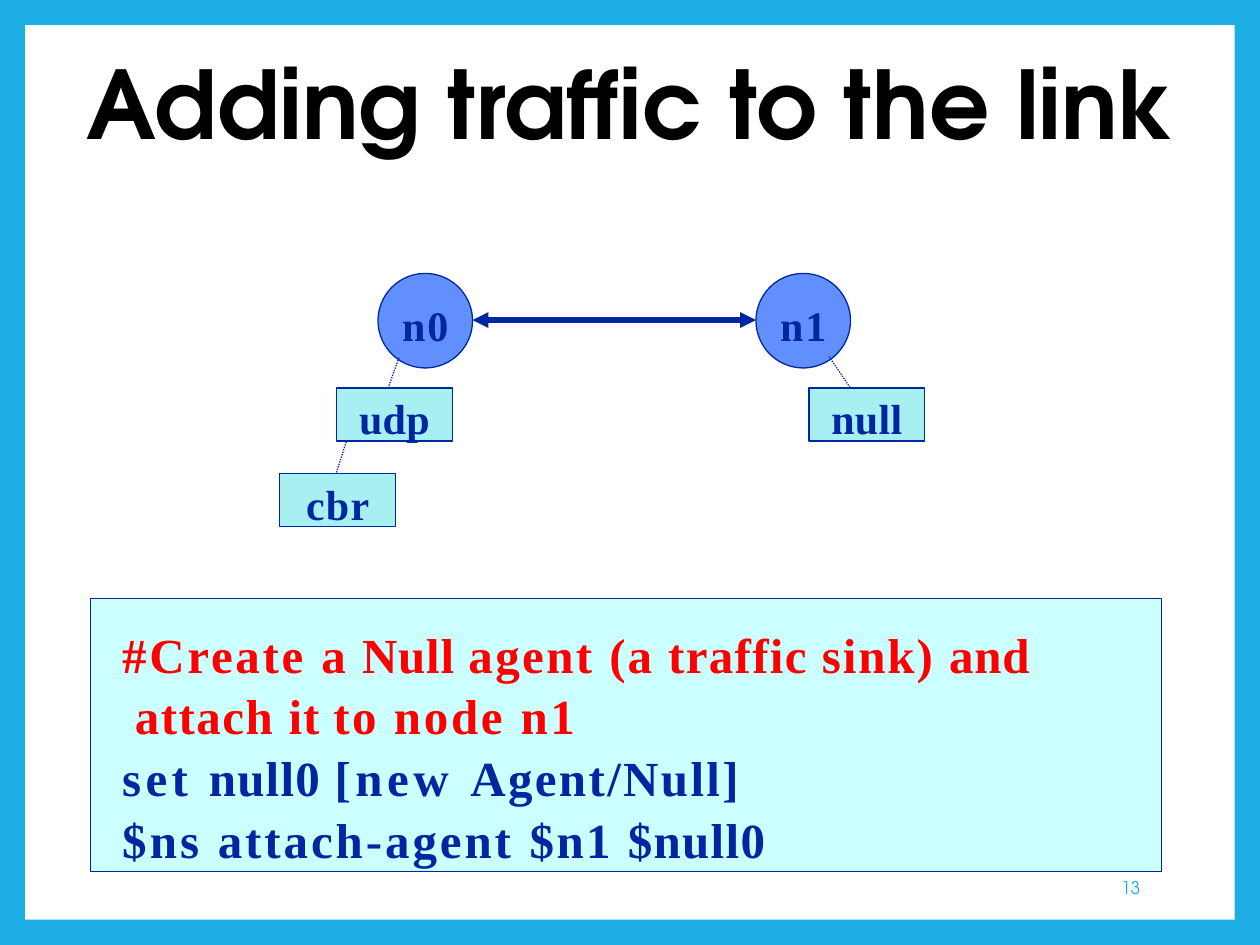
from lxml import etree
from pptx import Presentation
from pptx.dml.color import RGBColor
from pptx.enum.dml import MSO_LINE
from pptx.enum.shapes import MSO_CONNECTOR, MSO_SHAPE
from pptx.enum.text import MSO_ANCHOR, PP_ALIGN
from pptx.oxml.ns import qn
from pptx.util import Inches, Pt

RECT, OVAL = MSO_SHAPE.RECTANGLE, MSO_SHAPE.OVAL
LEFT, MID, RIGHT = PP_ALIGN.LEFT, PP_ALIGN.CENTER, PP_ALIGN.RIGHT
TOP, HALF = MSO_ANCHOR.TOP, MSO_ANCHOR.MIDDLE
SERIF, SANS = "Times New Roman", "TeX Gyre Adventor"
HEX = {"sky": "1CADE4", "white": "FFFFFF", "black": "000000", "navy": "00279F",
       "node": "618FFD", "agent": "A7EFF1", "code": "CCFFFF", "red": "FF0000"}
RGB = {name: RGBColor.from_string(code) for name, code in HEX.items()}

deck = Presentation()
deck.slide_width, deck.slide_height = Inches(10), Inches(7.5)
slide = deck.slides.add_slide(deck.slide_layouts[6])
slide.background.fill.solid()
slide.background.fill.fore_color.rgb = RGB["sky"]


def add_box(kind, x, y, w, h, fill, line=None):
    box = slide.shapes.add_shape(kind, Inches(x), Inches(y), Inches(w), Inches(h))
    box.shadow.inherit = False
    box.fill.solid()
    box.fill.fore_color.rgb = RGB[fill]
    if line:
        box.line.color.rgb = RGB[line]
        box.line.width = Pt(0.75)
    else:
        box.line.fill.background()
    return box


def write(box, text, size=24, color="navy", font=SERIF, bold=True, align=MID,
          anchor=TOP, lead=1.0, inset=0, indent=0, track=0):
    """Add one paragraph; text is a string or a list of (string, tracking) runs."""
    frame = box.text_frame
    frame.word_wrap = True
    frame.vertical_anchor = anchor
    frame.margin_left = frame.margin_right = frame.margin_bottom = 0
    frame.margin_top = Inches(inset)
    par = frame.add_paragraph() if frame.text else frame.paragraphs[0]
    par.alignment, par.line_spacing = align, lead
    if indent:
        par._p.get_or_add_pPr().set("marL", str(Inches(indent)))
    for part, space in [(text, track)] if isinstance(text, str) else text:
        run = par.add_run()
        run.text = part
        run.font.name, run.font.size, run.font.bold = font, Pt(size), bold
        run.font.color.rgb = RGB[color]
        run._r.get_or_add_rPr().set("spc", str(round(space * 100)))


# White page and slide number
add_box(RECT, 0.2, 0.2, 9.6, 7.1, "white")
page = slide.shapes.add_textbox(Inches(7.65), Inches(6.81), Inches(1.4), Inches(0.4))
write(page, "13", size=10, color="sky", font=SANS, bold=False, align=RIGHT,
      anchor=HALF, lead=Pt(16.5))

# Network nodes
for name, x in [("n0", 3), ("n1", 6)]:
    node = add_box(OVAL, x, 2.17, 0.75, 0.75, "node", "navy")
    write(node, name, anchor=HALF, lead=1.05, inset=0.04, track=1.1)

# Agents
for name, x, y, track in [("udp", 2.67, 3.08, 0.2), ("cbr", 2.22, 3.76, 0.8),
                          ("null", 6.42, 3.08, 0.2)]:
    agent = add_box(RECT, x, y, 0.92, 0.42, "agent", "navy")
    write(agent, name, lead=Pt(28.7), inset=0.04, track=track)

# Duplex link between the nodes, dotted ties to the agents
for x1, y1, x2, y2, duplex in [(3.75, 2.54, 6, 2.54, True),
                               (3.08, 3.08, 3.17, 2.83, False),
                               (2.67, 3.75, 2.75, 3.5, False),
                               (6.58, 2.83, 6.75, 3.08, False)]:
    tie = slide.shapes.add_connector(MSO_CONNECTOR.STRAIGHT, Inches(x1), Inches(y1),
                                     Inches(x2), Inches(y2))
    tie.line.color.rgb = RGB["navy"]
    tie.line.width = Pt(3 if duplex else 0.75)
    if duplex:
        for end in ("a:headEnd", "a:tailEnd"):
            etree.SubElement(tie.line._get_or_add_ln(), qn(end), type="triangle")
    else:
        tie.line.dash_style = MSO_LINE.ROUND_DOT
    etree.SubElement(tie._element.spPr, qn("a:effectLst"))

# Code panel
panel = add_box(RECT, 0.72, 4.75, 8.5, 2.17, "code", "navy")
code = [
    ("red", 0.25, [("#Create ", 1.6), ("a ", 1.1), ("Null ", 0.5), ("agent ", 1.4),
                   ("(a ", 1.1), ("traffic ", 0.8), ("sink) ", 1.1), ("and", 0.5)]),
    ("red", 0.35, [("attach ", 0.9), ("it ", 0.5), ("to", 1.4), (" node ", 1.6),
                   ("n1", 1.4)]),
    ("navy", 0.25, [("set ", 2.5), ("null0 ", 0.7), ("[new ", 2.6),
                    ("Agent/Null]", 1.4)]),
    ("navy", 0.25, [("$ns ", 1.8), ("attach-agent ", 1.7), ("$n1 ", 1.4),
                    ("$null0", 0.8)]),
]
for color, indent, runs in code:
    write(panel, runs, size=28, color=color, align=LEFT, lead=1.05, inset=0.18,
          indent=indent)

# Title
title = add_box(RECT, 0.21, 0.41, 9.58, 1.01, "white")
write(title, "Adding traffic to the link", size=54, color="black", font=SANS,
      lead=0.9, inset=0.05)

deck.save("out.pptx")
